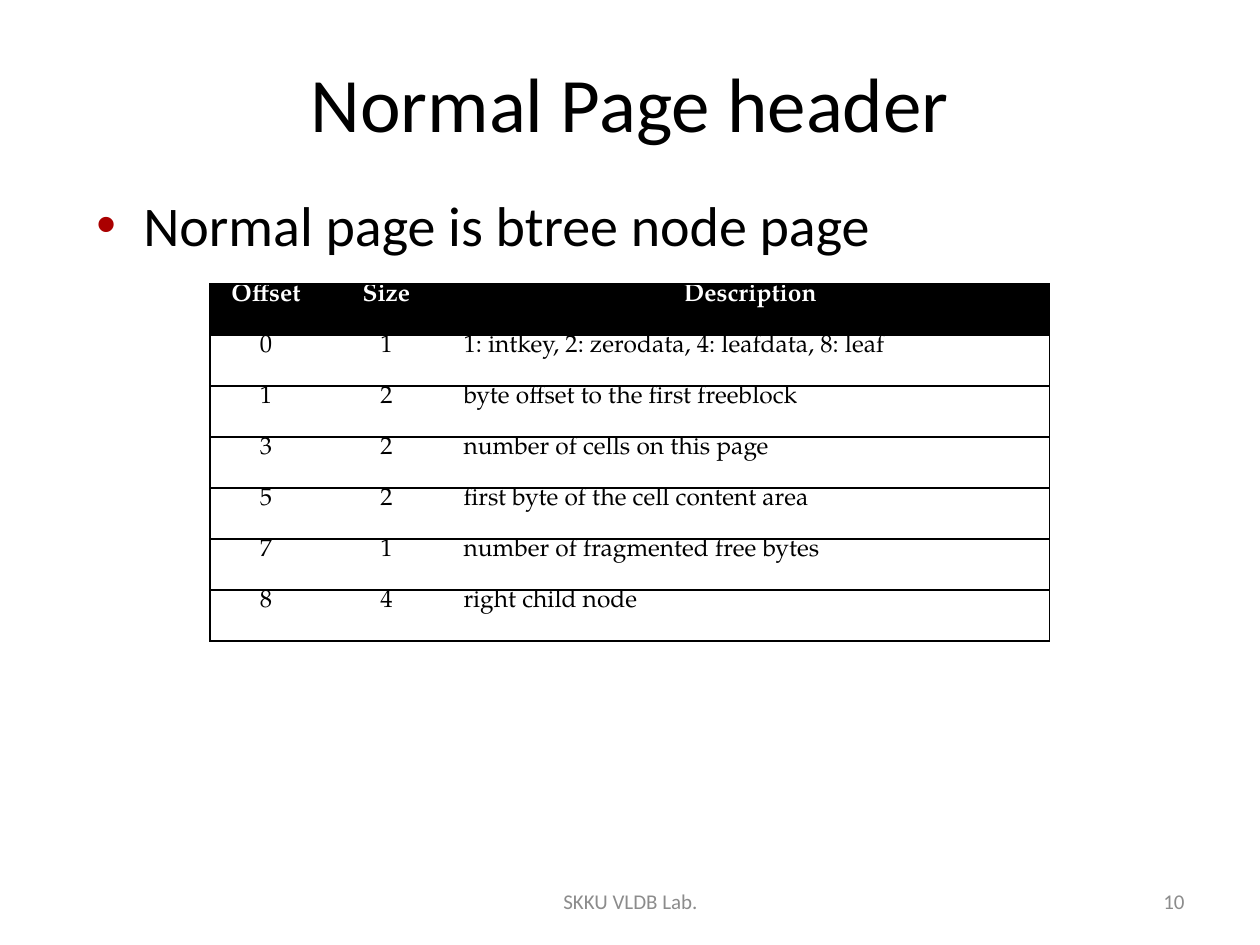
from dataclasses import dataclass

from lxml.etree import SubElement
from pptx import Presentation
from pptx.dml.color import RGBColor
from pptx.enum.text import MSO_ANCHOR, PP_ALIGN
from pptx.oxml.ns import qn
from pptx.util import Emu, Pt

PX = 914400 // 126
BODY_FONT, TABLE_FONT = "Calibri", "TeX Gyre Pagella"
BLACK, WHITE, GRAY, RED = "000000", "FFFFFF", "8C8C8C", "AA0000"

# Table content
HEADER = ("Offset", "Size", "Description")
FIELDS = (
    ("0", "1", "1: intkey, 2: zerodata, 4: leafdata, 8: leaf"),
    ("1", "2", "byte offset to the first freeblock"),
    ("3", "2", "number of cells on this page"),
    ("5", "2", "first byte of the cell content area"),
    ("7", "1", "number of fragmented free bytes"),
    ("8", "4", "right child node"),
)
COLUMN_WIDTHS = (112, 129, 599)
ROW_HEIGHT = 51


@dataclass
class Label:
    text: str
    left: int
    top: int
    width: int
    height: int
    size: int
    color: str = BLACK
    align: PP_ALIGN = PP_ALIGN.CENTER
    anchor: MSO_ANCHOR = MSO_ANCHOR.MIDDLE
    bullet: bool = False


LABELS = (
    Label("Normal Page header", 84, 38, 1092, 128, 44),
    Label("Normal page is btree node page", 84, 184, 1092, 660, 32,
          align=PP_ALIGN.LEFT, anchor=MSO_ANCHOR.TOP, bullet=True),
    Label("SKKU VLDB Lab.", 431, 876, 399, 50, 12, GRAY),
    Label("10", 903, 876, 294, 50, 12, GRAY, PP_ALIGN.RIGHT),
)


def px(length: int) -> Emu:
    return Emu(length * PX)


def rgb(color: str) -> RGBColor:
    return RGBColor.from_string(color)


def write(para, text: str, color: str, **formats) -> None:
    span = para.add_run()
    span.text = text
    for name, value in formats.items():
        setattr(span.font, name, value)
    span.font.color.rgb = rgb(color)


def add_bullet(para, color: str, indent: int) -> None:
    para.space_before = Pt(20)
    properties = para._p.get_or_add_pPr()
    properties.set("marL", str(px(indent)))
    properties.set("indent", str(-px(indent)))
    bullet_color = SubElement(properties, qn("a:buClr"))
    SubElement(bullet_color, qn("a:srgbClr"), val=color)
    SubElement(properties, qn("a:buFont"), typeface="Arial")
    SubElement(properties, qn("a:buChar"), char="•")


def add_label(page, label: Label) -> None:
    box = page.shapes.add_textbox(
        px(label.left), px(label.top), px(label.width), px(label.height))
    frame = box.text_frame
    frame.word_wrap = True
    frame.vertical_anchor = label.anchor
    para = frame.paragraphs[0]
    para.alignment = label.align
    if label.bullet:
        add_bullet(para, RED, 47)
    write(para, label.text, label.color, size=Pt(label.size), name=BODY_FONT)


def set_borders(cell, visible: dict[str, bool]) -> None:
    properties = cell._tc.get_or_add_tcPr()
    for side, shown in visible.items():
        line = SubElement(properties, qn(f"a:ln{side}"), w=str(Pt(0.75)))
        if shown:
            fill = SubElement(line, qn("a:solidFill"))
            SubElement(fill, qn("a:srgbClr"), val=BLACK)
        else:
            SubElement(line, qn("a:noFill"))


def add_field_table(page, left: int, top: int) -> None:
    rows = (HEADER, *FIELDS)
    last = len(HEADER) - 1
    table = page.shapes.add_table(
        len(rows), len(HEADER), px(left), px(top),
        px(sum(COLUMN_WIDTHS)), px(ROW_HEIGHT * len(rows))).table
    for column, width in zip(table.columns, COLUMN_WIDTHS):
        column.width = px(width)
    for row_index, texts in enumerate(rows):
        table.rows[row_index].height = px(ROW_HEIGHT)
        is_header = row_index == 0
        for column_index, text in enumerate(texts):
            cell = table.cell(row_index, column_index)
            # Rules between rows, and only the outer edges at the sides
            set_borders(cell, {"L": column_index == 0, "R": column_index == last,
                               "T": True, "B": True})
            cell.fill.solid()
            cell.fill.fore_color.rgb = rgb(BLACK if is_header else WHITE)
            cell.margin_top = cell.margin_bottom = 0
            para = cell.text_frame.paragraphs[0]
            is_description = column_index == last and not is_header
            para.alignment = PP_ALIGN.LEFT if is_description else PP_ALIGN.CENTER
            write(para, text, WHITE if is_header else BLACK,
                  size=Pt(14), name=TABLE_FONT, bold=is_header)


def main() -> None:
    deck = Presentation()
    deck.slide_width, deck.slide_height = px(1260), px(945)
    page = deck.slides.add_slide(deck.slide_layouts[6])
    # Title, bullet and footer
    for label in LABELS:
        add_label(page, label)
    # Header fields
    add_field_table(page, 210, 284)
    deck.save("out.pptx")


if __name__ == "__main__":
    main()
